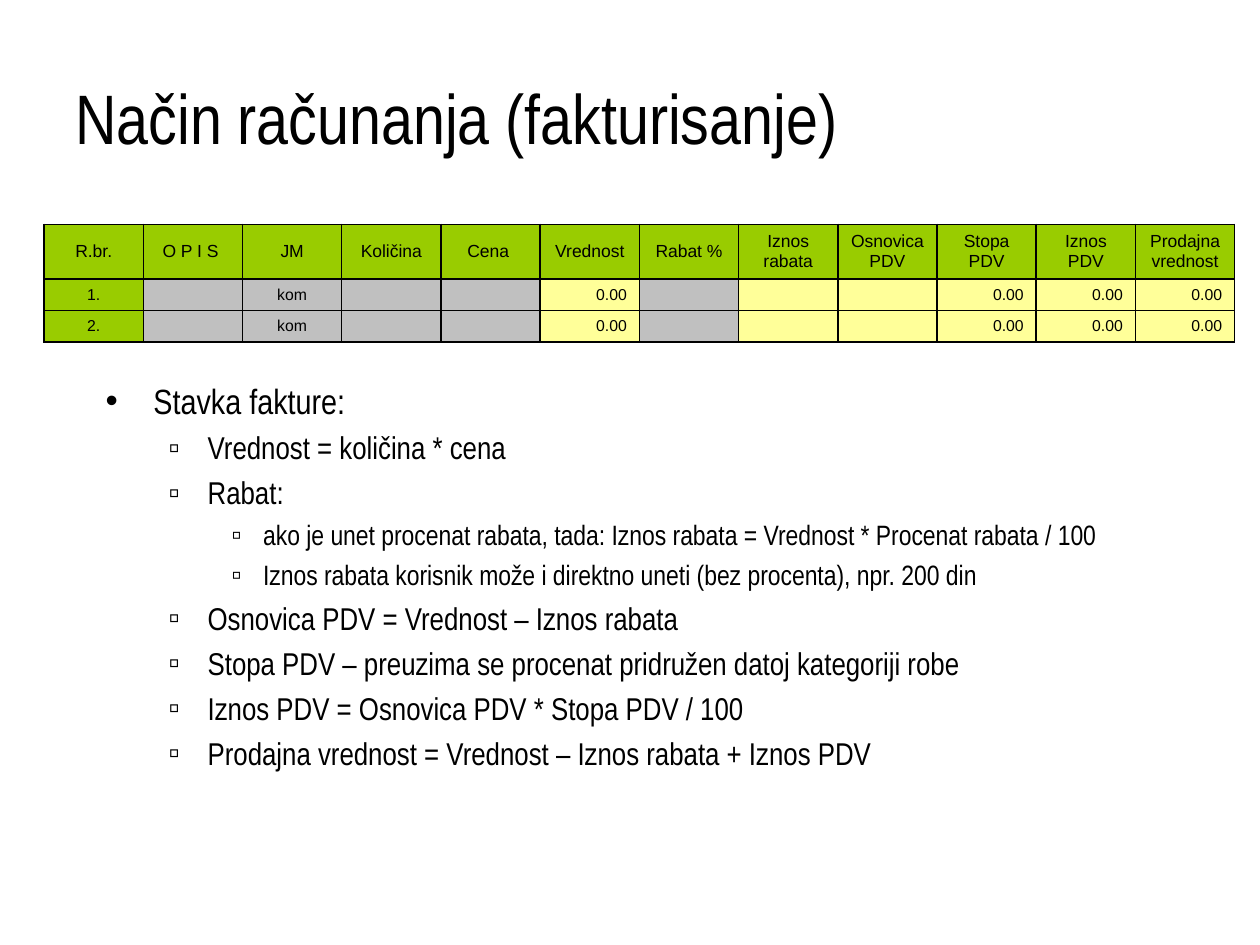
from lxml.etree import SubElement
from pptx import Presentation
from pptx.dml.color import RGBColor
from pptx.enum.text import MSO_ANCHOR as Anchor, PP_ALIGN as Align
from pptx.oxml.ns import qn
from pptx.util import Inches, Pt


def color(value):
    return RGBColor.from_string(value)


def add_run(paragraph, text, size, font):
    run = paragraph.add_run()
    run.text = text
    run.font.size = Pt(size)
    run.font.name = font
    run.font.color.rgb = color("000000")


GREEN, GRAY, YELLOW = "99CC00", "C0C0C0", "FFFF99"
HEADERS = ["R.br.", "O P I S ", "JM", "Količina", "Cena ", "Vrednost", "Rabat %",
           "Iznos rabata", "Osnovica PDV", "Stopa PDV", "Iznos PDV", "Prodajna vrednost"]
ITEM_FILLS = [GREEN] + [GRAY] * 4 + [YELLOW, GRAY] + [YELLOW] * 5
ITEM_VALUES = ["", "kom", "", "", "0.00", "", "", "", "0.00", "0.00", "0.00"]
ROWS = [HEADERS, ["1."] + ITEM_VALUES, ["2."] + ITEM_VALUES]
ROW_HEIGHTS = [0.43, 0.25, 0.25]
LEVELS = [("•", 20, 0.38, 0.38), ("▫", 18, 0.81, 0.31), ("▫", 16, 1.25, 0.25)]
RULES = [
    (0, "Stavka fakture:"),
    (1, "Vrednost = količina * cena"),
    (1, "Rabat:"),
    (2, "ako je unet procenat rabata, tada: Iznos rabata = Vrednost * Procenat rabata / 100"),
    (2, "Iznos rabata korisnik može i direktno uneti (bez procenta), npr. 200 din"),
    (1, "Osnovica PDV = Vrednost – Iznos rabata"),
    (1, "Stopa PDV – preuzima se procenat pridružen datoj kategoriji robe"),
    (1, "Iznos PDV = Osnovica PDV * Stopa PDV / 100"),
    (1, "Prodajna vrednost = Vrednost – Iznos rabata + Iznos PDV"),
]

presentation = Presentation()
presentation.slide_width = Inches(10)
presentation.slide_height = Inches(7.5)
slide = presentation.slides.add_slide(presentation.slide_layouts[6])

title = slide.shapes.add_textbox(Inches(0.5), Inches(0.3), Inches(9), Inches(1.25))
title.text_frame.word_wrap = True
title.text_frame.vertical_anchor = Anchor.MIDDLE
add_run(title.text_frame.paragraphs[0], "Način računanja (fakturisanje)", 40, "Arial Narrow")

table = slide.shapes.add_table(len(ROWS), len(HEADERS), Inches(0.35), Inches(1.78),
                               Inches(9.45), Inches(sum(ROW_HEIGHTS))).table
for row, height in zip(table.rows, ROW_HEIGHTS):
    row.height = Inches(height)
for row_index, values in enumerate(ROWS):
    size = 9 if row_index else 10
    for column_index, value in enumerate(values):
        cell = table.cell(row_index, column_index)
        cell.vertical_anchor = Anchor.MIDDLE
        paragraph = cell.text_frame.paragraphs[0]
        paragraph.alignment = Align.RIGHT if value == "0.00" else Align.CENTER
        if value:
            add_run(paragraph, value, size, "Arial")
        else:
            SubElement(paragraph._p, qn("a:endParaRPr"), sz=str(size * 100))
        properties = cell._tc.get_or_add_tcPr()
        for side in ("a:lnL", "a:lnR", "a:lnT", "a:lnB"):
            border = SubElement(properties, qn(side), w=str(Pt(1)))
            SubElement(SubElement(border, qn("a:solidFill")), qn("a:srgbClr"), val="000000")
        cell.fill.solid()
        cell.fill.fore_color.rgb = color(ITEM_FILLS[column_index] if row_index else GREEN)

body = slide.shapes.add_textbox(Inches(0.74), Inches(2.96), Inches(9), Inches(3.39))
frame = body.text_frame
frame.word_wrap = True
for index, (level, text) in enumerate(RULES):
    bullet, size, indent, hanging = LEVELS[level]
    paragraph = frame.add_paragraph() if index else frame.paragraphs[0]
    paragraph.level = level
    properties = paragraph._p.get_or_add_pPr()
    properties.set("marL", str(Inches(indent)))
    properties.set("indent", str(-Inches(hanging)))
    SubElement(properties, qn("a:buFont"), typeface="Arial")
    SubElement(properties, qn("a:buChar"), char=bullet)
    if index:
        paragraph.space_before = Pt(size * 0.23)
    add_run(paragraph, text, size, "Arial Narrow")

presentation.save("out.pptx")
